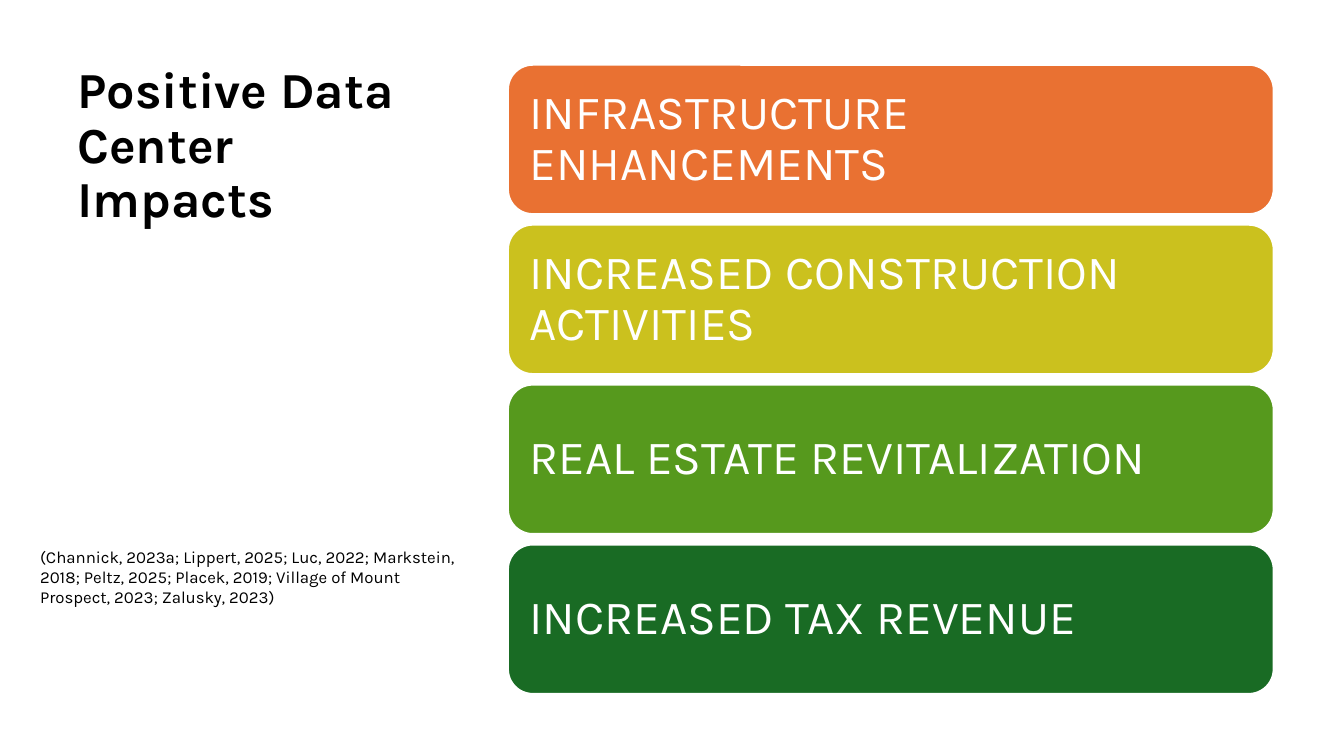
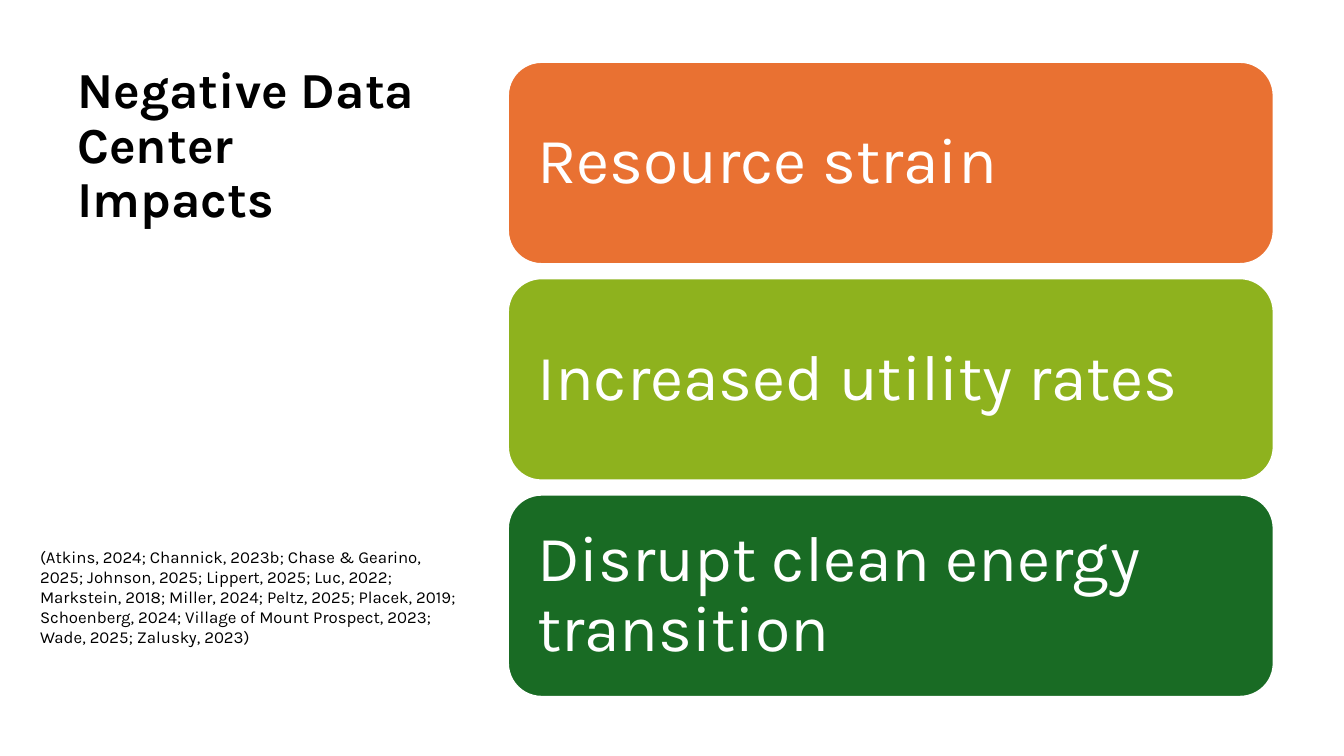
from pptx import Presentation
from pptx.dml.color import RGBColor
from pptx.enum.shapes import MSO_SHAPE as Preset
from pptx.enum.text import MSO_ANCHOR as Anchor, PP_ALIGN as Align
from pptx.util import Cm, Pt

COLORS = {
    "text": "000000",
    "white": "FFFFFF",
    "orange": "E97132",
    "yellow": "CBC11E",
    "lime": "8EB21E",
    "green": "56991D",
    "forest": "196B24",
}

SLIDES = [
    {
        "title": "Positive Data Center Impacts",
        "size": 34,
        "impacts": [
            ("INFRASTRUCTURE ENHANCEMENTS", "orange"),
            ("INCREASED CONSTRUCTION ACTIVITIES", "yellow"),
            ("REAL ESTATE REVITALIZATION", "green"),
            ("INCREASED TAX REVENUE", "forest"),
        ],
        "citation": "(Channick, 2023a; Lippert, 2025; Luc, 2022; Markstein, 2018; "
                    "Peltz, 2025; Placek, 2019; Village of Mount Prospect, 2023; "
                    "Zalusky, 2023)",
        "citation_height": 1.8,
    },
    {
        "title": "Negative Data Center Impacts",
        "size": 46,
        "impacts": [
            ("Resource strain", "orange"),
            ("Increased utility rates", "lime"),
            ("Disrupt clean energy transition", "forest"),
        ],
        "citation": "(Atkins, 2024; Channick, 2023b; Chase & Gearino, 2025; "
                    "Johnson, 2025; Lippert, 2025; Luc, 2022; Markstein, 2018; "
                    "Miller, 2024; Peltz, 2025; Placek, 2019; Schoenberg, 2024; "
                    "Village of Mount Prospect, 2023; Wade, 2025; Zalusky, 2023)",
        "citation_height": 2.82,
    },
]


class Deck:
    FONT = "Karla"
    CM_PER_POINT = 2.54 / 72
    BAR_LEFT, BAR_WIDTH, BARS_MIDDLE = 12.8, 19.3, 9.56
    # Bar measures are multiples of the text size.
    BAR_HEIGHT, BAR_GAP, BAR_INSET = 3.14, 0.22, 0.3

    def __init__(self):
        self.presentation = Presentation()
        self.presentation.slide_width = Cm(33.87)
        self.presentation.slide_height = Cm(19.05)
        self.slide = None

    def new_slide(self):
        self.slide = self.presentation.slides.add_slide(self.presentation.slide_layouts[6])

    def set_text(self, shape, text, size, color, bold=False, spacing=1.0, **frame_format):
        frame = shape.text_frame
        for name, value in {"word_wrap": True, **frame_format}.items():
            setattr(frame, name, value)
        paragraph = frame.paragraphs[0]
        paragraph.text = text
        paragraph.alignment = Align.LEFT
        paragraph.line_spacing = spacing
        font_format = {"name": self.FONT, "size": Pt(size), "bold": bold}
        for name, value in font_format.items():
            setattr(paragraph.font, name, value)
        paragraph.font.color.rgb = RGBColor.from_string(COLORS[color])

    def block(self, preset, left, top, width, height, fill, line_width):
        """Add a filled shape with a white outline."""
        shape = self.slide.shapes.add_shape(preset, Cm(left), Cm(top), Cm(width), Cm(height))
        shape.shadow.inherit = False
        shape.fill.solid()
        shape.fill.fore_color.rgb = RGBColor.from_string(COLORS[fill])
        shape.line.color.rgb = RGBColor.from_string(COLORS["white"])
        shape.line.width = Pt(line_width)
        return shape

    def title(self, text):
        box = self.slide.shapes.add_textbox(Cm(1.7), Cm(1.52), Cm(9.7), Cm(16.08))
        self.set_text(box, text, 36, "text", bold=True, spacing=0.9)

    def impact_bars(self, impacts, size):
        """Stack one bar per impact, centred on the middle of the column."""
        em = size * self.CM_PER_POINT
        height, gap, inset = (em * ratio for ratio in
                              (self.BAR_HEIGHT, self.BAR_GAP, self.BAR_INSET))
        pitch = height + gap
        top = self.BARS_MIDDLE - (len(impacts) * pitch - gap) / 2
        margins = {f"margin_{side}": Cm(inset) for side in ("left", "top", "right", "bottom")}
        for index, (text, color) in enumerate(impacts):
            bar = self.block(Preset.ROUNDED_RECTANGLE, self.BAR_LEFT, top + index * pitch,
                             self.BAR_WIDTH, height, color, 1.5)
            self.set_text(bar, text, size, "white", spacing=0.9,
                          vertical_anchor=Anchor.MIDDLE, **margins)

    def citation(self, text, height):
        box = self.block(Preset.RECTANGLE, 0.76, 13.64, 11.1, height, "white", 0.75)
        self.set_text(box, text, 12, "text", vertical_anchor=Anchor.TOP)


def main():
    deck = Deck()
    for content in SLIDES:
        deck.new_slide()
        deck.title(content["title"])
        deck.impact_bars(content["impacts"], content["size"])
        deck.citation(content["citation"], content["citation_height"])
    deck.presentation.save("out.pptx")


if __name__ == "__main__":
    main()
